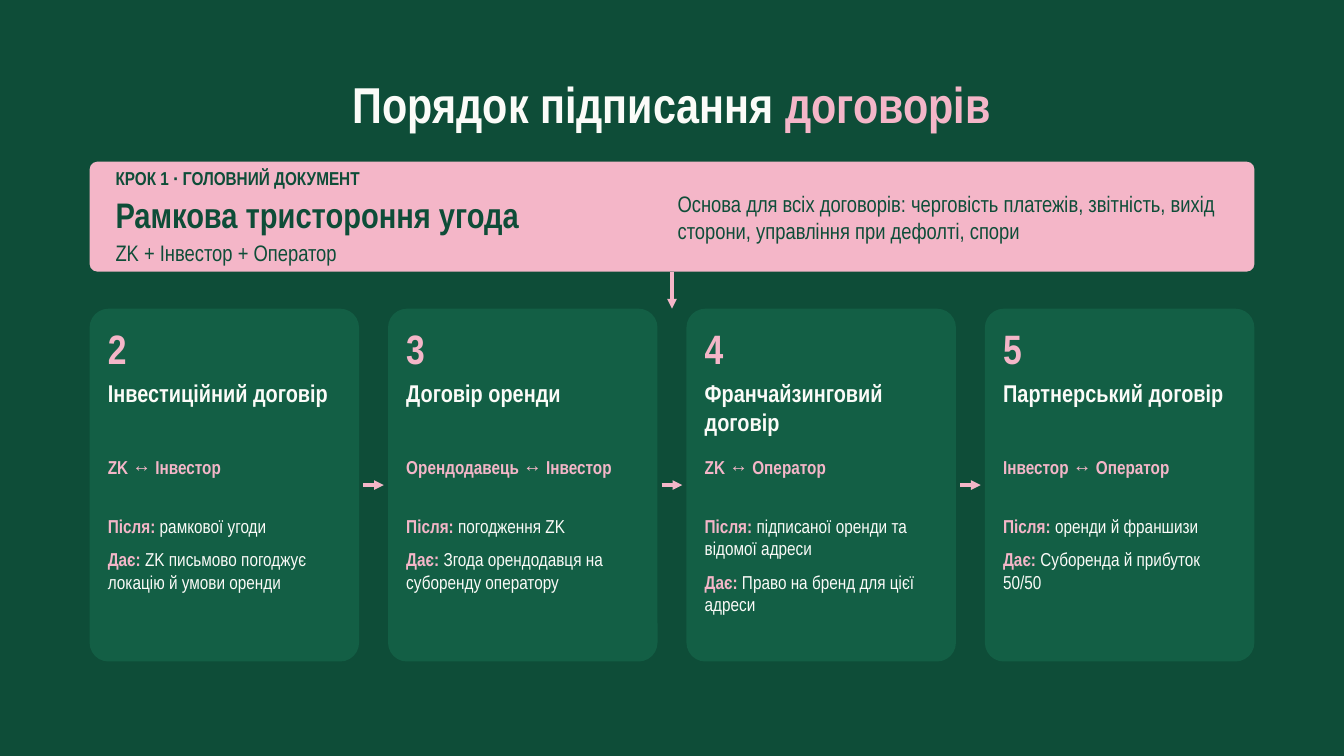
from dataclasses import dataclass

from pptx import Presentation
from pptx.dml.color import RGBColor
from pptx.enum.shapes import MSO_CONNECTOR as CONNECTOR, MSO_SHAPE as SHAPE
from pptx.enum.text import MSO_ANCHOR as ANCHOR, MSO_AUTO_SIZE as AUTO, PP_ALIGN as ALIGN
from pptx.oxml.ns import qn
from pptx.util import Pt
from lxml.etree import SubElement

TITLE = ("Порядок підписання ", "договорів")
FRAMEWORK = ("КРОК 1 · ГОЛОВНИЙ ДОКУМЕНТ", "Рамкова тристороння угода", "ZK + Інвестор + Оператор")
PURPOSE = "Основа для всіх договорів: черговість платежів, звітність, вихід сторони, управління при дефолті, спори"
CONTRACTS = [
    ("2", "Інвестиційний договір", "ZK ↔ Інвестор",
     "рамкової угоди", "ZK письмово погоджує локацію й умови оренди"),
    ("3", "Договір оренди", "Орендодавець ↔ Інвестор",
     "погодження ZK", "Згода орендодавця на суборенду оператору"),
    ("4", "Франчайзинговий договір", "ZK ↔ Оператор",
     "підписаної оренди та відомої адреси", "Право на бренд для цієї адреси"),
    ("5", "Партнерський договір", "Інвестор ↔ Оператор",
     "оренди й франшизи", "Суборенда й прибуток 50/50"),
]


@dataclass(frozen=True)
class Theme:
    font: str = "Arial Narrow"
    dark: str = "0E4D38"
    card: str = "135F45"
    pink: str = "F4B6C8"
    white: str = "FBFBF8"
    title: int = 54
    number: int = 44
    banner: int = 38
    heading: int = 26
    lead: int = 24
    body: int = 20
    line: float = 3.5


T = Theme()
PX = 9525
WIDTH, HEIGHT = 1920, 1080
LEFT, INNER = 128, 1664
BANNER_TOP, BANNER_H = 231, 157
CARD_TOP, CARD_W, CARD_H = 441, 385, 504
PAD, ARROW_GAP = 26, 6
PITCH = (INNER - CARD_W) / (len(CONTRACTS) - 1)


def px(*values):
    return [round(v * PX) for v in values]


def rgb(color):
    return RGBColor.from_string(color)


def write(tf, paragraphs, after=0, anchor=ANCHOR.TOP, align=ALIGN.LEFT):
    tf.word_wrap = True
    tf.auto_size = AUTO.NONE
    tf.vertical_anchor = anchor
    tf.margin_left = tf.margin_top = tf.margin_right = tf.margin_bottom = 0
    for i, runs in enumerate(paragraphs):
        p = tf.add_paragraph() if i else tf.paragraphs[0]
        p.alignment = align
        if i < len(paragraphs) - 1:
            p.space_after = Pt(after)
        for text, size, color, bold in runs:
            r = p.add_run()
            r.text = text
            r.font.name, r.font.size, r.font.bold = T.font, Pt(size), bold
            r.font.color.rgb = rgb(color)


def add_text(s, box, paragraphs, **options):
    write(s.shapes.add_textbox(*px(*box)).text_frame, paragraphs, **options)


def add_panel(s, box, color):
    sp = s.shapes.add_shape(SHAPE.ROUNDED_RECTANGLE, *px(*box))
    sp.adjustments[0] = 0.07
    sp.shadow.inherit = False
    sp.fill.solid()
    sp.fill.fore_color.rgb = rgb(color)
    sp.line.fill.background()
    return sp


def add_arrow(s, *ends):
    cx = s.shapes.add_connector(CONNECTOR.STRAIGHT, *px(*ends))
    cx.line.color.rgb = rgb(T.pink)
    cx.line.width = Pt(T.line)
    SubElement(cx.line._get_or_add_ln(), qn("a:tailEnd"), type="triangle")
    SubElement(cx._element.spPr, qn("a:effectLst"))
    return cx


def add_title(s):
    sp = s.shapes.title
    sp.left, sp.top, sp.width, sp.height = px(103, 105, 1714, 94)
    runs = [(text, T.title, color, True) for text, color in zip(TITLE, (T.white, T.pink))]
    write(sp.text_frame, [runs], align=ALIGN.CENTER)


def add_banner(s):
    panel = add_panel(s, (LEFT, BANNER_TOP, INNER, BANNER_H), T.pink)
    styles = ((T.body, True), (T.banner, True), (T.lead, False))
    lines = [[(text, size, T.dark, bold)] for text, (size, bold) in zip(FRAMEWORK, styles)]
    add_text(s, (165, BANNER_TOP, 735, BANNER_H), lines, after=4, anchor=ANCHOR.MIDDLE)
    add_text(s, (968, BANNER_TOP, 787, BANNER_H), [[(PURPOSE, T.lead, T.dark, False)]],
             anchor=ANCHOR.MIDDLE)
    add_arrow(s, WIDTH / 2, BANNER_TOP + BANNER_H, WIDTH / 2, CARD_TOP).begin_connect(panel, 2)


def add_card(s, x, contract):
    number, name, parties, condition, result = contract
    add_panel(s, (x, CARD_TOP, CARD_W, CARD_H), T.card)
    terms = [[(label, T.body, T.pink, True), (text, T.body, T.white, False)]
             for label, text in (("Після: ", condition), ("Дає: ", result))]
    rows = [
        (462, 74, [[(number, T.number, T.pink, True)]]),
        (540, 105, [[(name, T.heading, T.white, True)]]),
        (651, 74, [[(parties, T.body, T.pink, True)]]),
        (735, 242, terms),
    ]
    for top, height, paragraphs in rows:
        add_text(s, (x + PAD, top, CARD_W - 2 * PAD, height), paragraphs, after=12)


def main():
    prs = Presentation()
    prs.slide_width, prs.slide_height = px(WIDTH, HEIGHT)
    s = prs.slides.add_slide(prs.slide_layouts[5])
    s.background.fill.solid()
    s.background.fill.fore_color.rgb = rgb(T.dark)
    add_title(s)
    add_banner(s)
    middle = CARD_TOP + CARD_H / 2
    for i, contract in enumerate(CONTRACTS):
        x = LEFT + i * PITCH
        add_card(s, x, contract)
        if i < len(CONTRACTS) - 1:
            add_arrow(s, x + CARD_W + ARROW_GAP, middle, x + PITCH - ARROW_GAP, middle)
    prs.save("out.pptx")


if __name__ == "__main__":
    main()
